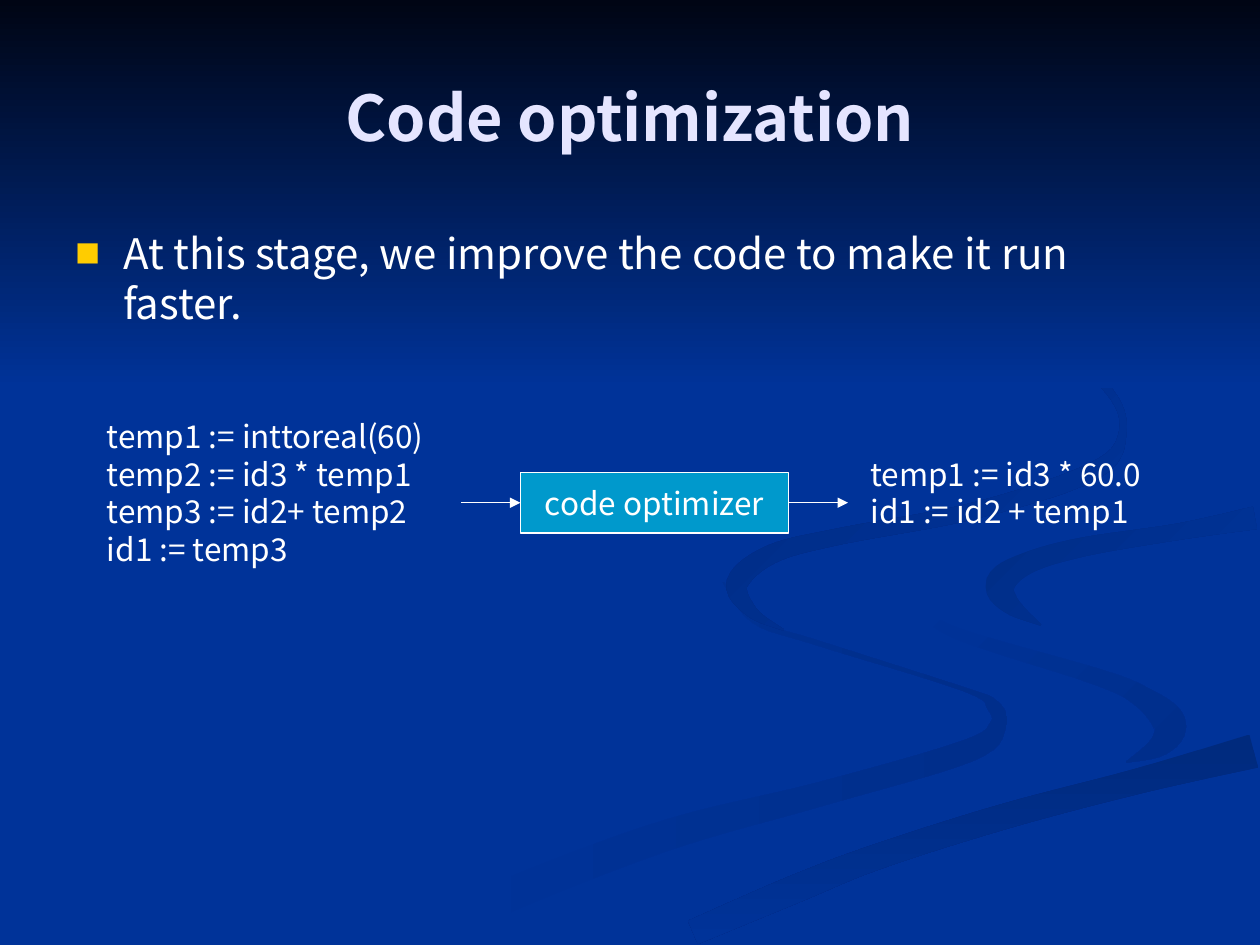
from dataclasses import dataclass
from math import hypot
from typing import NamedTuple

from lxml.etree import SubElement
from pptx import Presentation
from pptx.dml.color import RGBColor
from pptx.enum.shapes import MSO_CONNECTOR, MSO_SHAPE
from pptx.enum.text import MSO_ANCHOR, PP_ALIGN
from pptx.oxml.ns import qn
from pptx.util import Inches, Pt

FONT = "Noto Sans CJK KR"
BLUE, WHITE = "003399", "FFFFFF"
WIDTH, HEIGHT = 10, 7.5
ARROW_LENGTH = 0.47
SMOOTH_STEPS = 6


class Knot(NamedTuple):
    """A point on a ribbon's centre line and the ribbon's thickness there, in inches."""
    x: float
    y: float
    thickness: float


class Gradient(NamedTuple):
    """Two colours and the clockwise angle between them."""
    start: str
    end: str
    angle: int


@dataclass
class Ribbon:
    """A background swirl: a smooth centre line of varying thickness."""
    gradient: Gradient
    knots: list[Knot]


@dataclass
class TextBlock:
    """Lines of text in a box, with their style."""
    lines: list[str]
    left: float
    top: float
    width: float
    height: float
    size: int = 18
    color: str = WHITE
    bold: bool = False
    align: PP_ALIGN = PP_ALIGN.LEFT
    anchor: MSO_ANCHOR = MSO_ANCHOR.MIDDLE
    spacing: float | None = 21.4


LONG_SWIRL = Ribbon(Gradient(BLUE, "002E8B", 0), [
    Knot(5.74, 4.62, 0.01), Knot(5.98, 4.93, 0.03), Knot(6.48, 5.1, 0.04),
    Knot(7.65, 5.47, 0.03), Knot(7.88, 5.6, 0.1), Knot(7.92, 5.76, 0.13),
    Knot(7.68, 5.96, 0.18), Knot(6.52, 6.3, 0.19), Knot(5.35, 6.61, 0.24),
    Knot(4.24, 7.02, 0.26), Knot(3.45, 7.37, 0.26)])
MIDDLE_SWIRL = Ribbon(Gradient(BLUE, "002E8B", 45), [
    Knot(7.24, 4.64, 0.01), Knot(7.31, 4.82, 0.04), Knot(7.6, 5.03, 0.09),
    Knot(8.7, 5.37, 0.13), Knot(9.06, 5.53, 0.17), Knot(9.28, 5.74, 0.26),
    Knot(9.2, 5.92, 0.17), Knot(8.94, 6.05, 0.01)])
LOWER_BAND = Ribbon(Gradient("002A7D", BLUE, 90), [
    Knot(5.5, 7.4, 0.2), Knot(6.3, 7.06, 0.22), Knot(6.96, 6.8, 0.2),
    Knot(7.97, 6.48, 0.2), Knot(9.03, 6.2, 0.2), Knot(9.95, 5.96, 0.27)])
RIGHT_HOOK = Ribbon(Gradient("002D86", BLUE, 45), [
    Knot(9.96, 4.11, 0.18), Knot(9.35, 4.22, 0.13), Knot(8.6, 4.34, 0.15),
    Knot(8.15, 4.47, 0.17), Knot(7.94, 4.63, 0.23), Knot(8.02, 4.8, 0.15),
    Knot(8.26, 4.96, 0.01)])
TALL_SWIRL = Ribbon(Gradient("002B82", BLUE, 45), [
    Knot(7.62, 2.33, 0.01), Knot(8.3, 2.7, 0.07), Knot(8.8, 3.1, 0.06),
    Knot(8.91, 3.44, 0.06), Knot(8.68, 3.74, 0.14), Knot(7.75, 4.05, 0.13),
    Knot(6.65, 4.26, 0.13), Knot(6.12, 4.4, 0.15), Knot(5.85, 4.63, 0.17),
    Knot(5.97, 4.86, 0.09), Knot(6.22, 5, 0.01)])
RIBBONS = [LONG_SWIRL, MIDDLE_SWIRL, LOWER_BAND, RIGHT_HOOK, TALL_SWIRL]
SKY = Gradient("000514", BLUE, 90)
SKY_HEIGHT = 3.08

TITLE = TextBlock(["Code optimization"], 0.5, 0.3, 9, 1.25, 36, "E5E5FF", True,
                  PP_ALIGN.CENTER, spacing=None)
BODY = TextBlock(["At this stage, we improve the code to make it run faster."],
                 0.5, 1.75, 9, 1.29, 24, anchor=MSO_ANCHOR.TOP, spacing=29)
SOURCE_CODE = TextBlock(["temp1 := inttoreal(60)", "temp2 := id3 * temp1",
                         "temp3 := id2+ temp2", "id1 := temp3"], 0.75, 3.2, 2.84, 1.42)
RESULT_CODE = TextBlock(["temp1 := id3 * 60.0", "id1 := id2 + temp1"], 6.81, 3.2, 2.84, 1.42)
OPTIMIZER = TextBlock(["code optimizer"], 4.13, 3.75, 2.13, 0.48,
                      align=PP_ALIGN.CENTER, spacing=None)


def rgb(value: str) -> RGBColor:
    """Turn a hex string into a colour."""
    return RGBColor.from_string(value)


def spline(a: float, b: float, c: float, d: float, t: float) -> float:
    """Interpolate between b and c on a Catmull-Rom curve."""
    return b + t / 2 * (c - a + t * (2 * a - 5 * b + 4 * c - d + t * (3 * (b - c) + d - a)))


def smooth(knots: list[Knot]) -> list[Knot]:
    """Add evenly spaced steps of a smooth curve between the knots."""
    padded = [knots[0], *knots, knots[-1]]
    curve = [Knot(*(spline(*values, step / SMOOTH_STEPS) for values in zip(*four)))
             for four in zip(padded, padded[1:], padded[2:], padded[3:])
             for step in range(SMOOTH_STEPS)]
    return curve + [knots[-1]]


def ribbon_outline(knots: list[Knot]) -> list[tuple[float, float]]:
    """Offset the centre line to both sides, down one edge and back up the other."""
    curve = smooth(knots)
    left, right = [], []
    for before, here, after in zip(curve[:1] + curve, curve, curve[1:] + curve[-1:]):
        dx, dy = after.x - before.x, after.y - before.y
        half = here.thickness / 2 / hypot(dx, dy)
        left.append((here.x - dy * half, here.y + dx * half))
        right.append((here.x + dy * half, here.y - dx * half))
    return left + right[::-1]


def paint_gradient(sp, gradient: Gradient) -> None:
    """Fill a shape with a gradient and remove its line and shadow."""
    sp.shadow.inherit = False
    sp.line.fill.background()
    sp.fill.gradient()
    sp.fill.gradient_angle = -gradient.angle % 360
    for stop, color in zip(sp.fill.gradient_stops, (gradient.start, gradient.end)):
        stop.color.rgb = rgb(color)


def draw_ribbon(s, ribbon: Ribbon) -> None:
    """Draw one background swirl."""
    points = [(Inches(x), Inches(y)) for x, y in ribbon_outline(ribbon.knots)]
    builder = s.shapes.build_freeform(*points[0])
    builder.add_line_segments(points[1:], close=True)
    paint_gradient(builder.convert_to_shape(), ribbon.gradient)


def write_text(sp, block: TextBlock) -> None:
    """Fill a shape with the lines of a block."""
    tf = sp.text_frame
    tf.word_wrap = True
    tf.vertical_anchor = block.anchor
    for i, line in enumerate(block.lines):
        p = tf.add_paragraph() if i else tf.paragraphs[0]
        p.alignment = block.align
        if block.spacing:
            p.line_spacing = Pt(block.spacing)
        r = p.add_run()
        r.text = line
        r.font.name = FONT
        r.font.size = Pt(block.size)
        r.font.bold = block.bold
        r.font.color.rgb = rgb(block.color)


def bounds(block: TextBlock) -> list:
    """Give the place and size of a block as lengths."""
    return [Inches(v) for v in (block.left, block.top, block.width, block.height)]


def draw_text(s, block: TextBlock):
    """Add a text box for a block."""
    sp = s.shapes.add_textbox(*bounds(block))
    write_text(sp, block)
    return sp


def add_bullet(p, char: str, color: str, indent: float) -> None:
    """Give a paragraph a coloured bullet and hanging indent."""
    pPr = p._p.get_or_add_pPr()
    pPr.set("marL", str(Inches(indent)))
    pPr.set("indent", str(-Inches(indent)))
    SubElement(SubElement(pPr, qn("a:buClr")), qn("a:srgbClr")).set("val", color)
    SubElement(pPr, qn("a:buSzPct")).set("val", "60000")
    SubElement(pPr, qn("a:buFont")).set("typeface", FONT)
    SubElement(pPr, qn("a:buChar")).set("char", char)


def draw_box(s, block: TextBlock):
    """Add the outlined box of the processing step."""
    sp = s.shapes.add_shape(MSO_SHAPE.RECTANGLE, *bounds(block))
    sp.shadow.inherit = False
    sp.fill.solid()
    sp.fill.fore_color.rgb = rgb("0099CC")
    sp.line.color.rgb = rgb(WHITE)
    sp.line.width = Pt(0.75)
    write_text(sp, block)
    return sp


def draw_arrow(s, left: float, y: float):
    """Add a rightward arrow of the common length."""
    arrow = s.shapes.add_connector(MSO_CONNECTOR.STRAIGHT, Inches(left), Inches(y),
                                   Inches(left + ARROW_LENGTH), Inches(y))
    arrow.line.color.rgb = rgb(WHITE)
    arrow.line.width = Pt(0.75)
    SubElement(arrow.line._get_or_add_ln(), qn("a:tailEnd")).set("type", "triangle")
    SubElement(arrow._element.spPr, qn("a:effectLst"))
    return arrow


def main() -> None:
    """Build the slide and save it."""
    prs = Presentation()
    prs.slide_width, prs.slide_height = Inches(WIDTH), Inches(HEIGHT)
    s = prs.slides.add_slide(prs.slide_layouts[6])
    s.background.fill.solid()
    s.background.fill.fore_color.rgb = rgb(BLUE)
    for ribbon in RIBBONS:
        draw_ribbon(s, ribbon)
    sky = s.shapes.add_shape(MSO_SHAPE.RECTANGLE, 0, 0, Inches(WIDTH), Inches(SKY_HEIGHT))
    paint_gradient(sky, SKY)
    draw_text(s, TITLE)
    body = draw_text(s, BODY)
    add_bullet(body.text_frame.paragraphs[0], "■", "FFCC00", 0.38)
    box = draw_box(s, OPTIMIZER)
    draw_text(s, SOURCE_CODE)
    middle = OPTIMIZER.top + OPTIMIZER.height / 2
    draw_arrow(s, OPTIMIZER.left - ARROW_LENGTH, middle).end_connect(box, 1)
    draw_arrow(s, OPTIMIZER.left + OPTIMIZER.width, middle).begin_connect(box, 3)
    draw_text(s, RESULT_CODE)
    prs.save("out.pptx")


if __name__ == "__main__":
    main()
